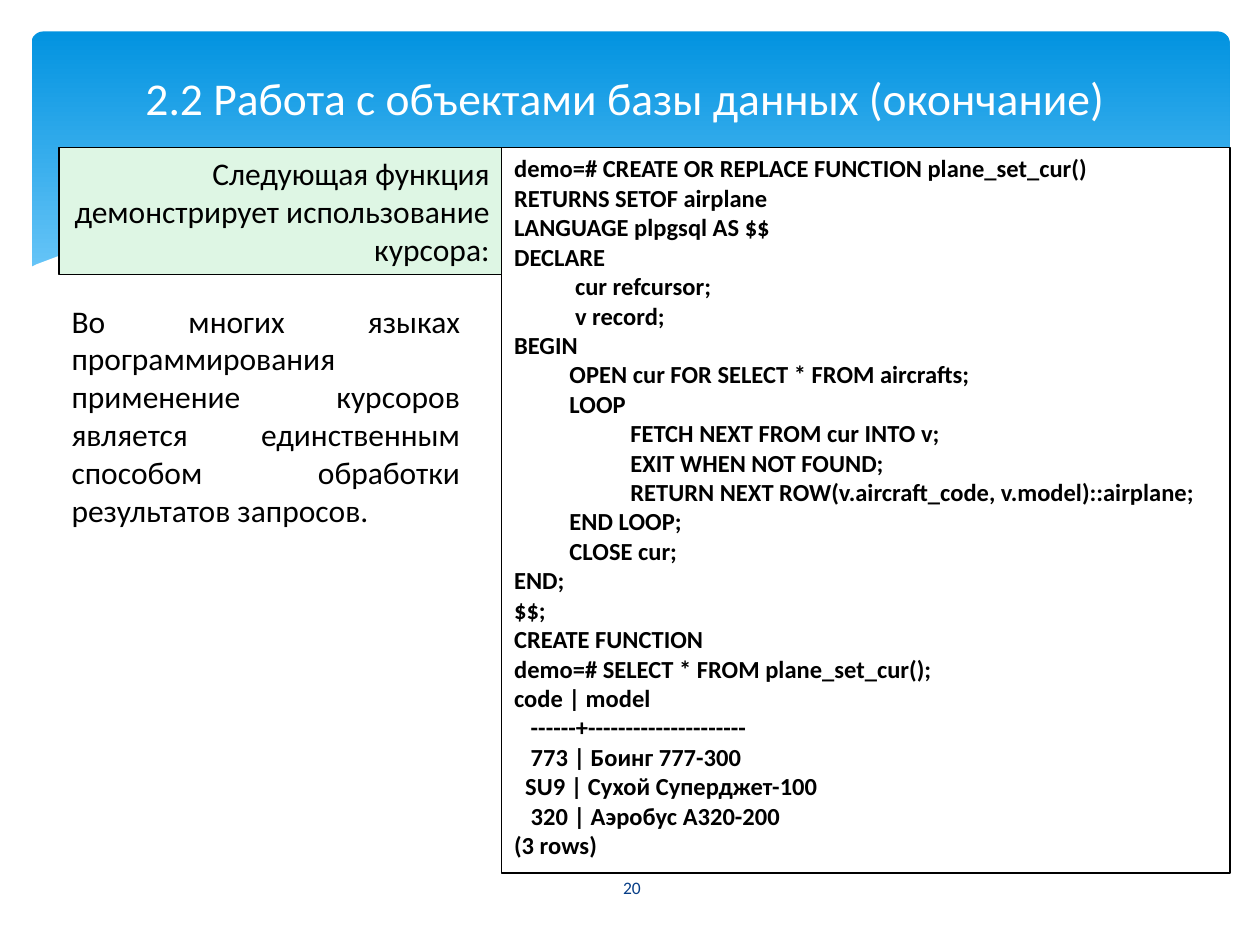
"""Build the slide about a cursor function in a database."""
from pptx import Presentation
from pptx.dml.color import RGBColor as Color
from pptx.enum.shapes import MSO_SHAPE as Preset
from pptx.enum.text import MSO_ANCHOR as Anchor, MSO_AUTO_SIZE as AutoSize, PP_ALIGN as Align
from pptx.util import Pt

BLACK = Color(0x00, 0x00, 0x00)
WHITE = Color(0xFF, 0xFF, 0xFF)
SKY_TOP = Color(0x02, 0x93, 0xE0)
SKY_BOTTOM = Color(0x83, 0xD3, 0xFE)
MINT = Color(0xDE, 0xF6, 0xE4)
NAVY = Color(0x07, 0x3E, 0x87)

CODE = """\
demo=# CREATE OR REPLACE FUNCTION plane_set_cur()
RETURNS SETOF airplane
LANGUAGE plpgsql AS $$
DECLARE
           cur refcursor;
           v record;
BEGIN
          OPEN cur FOR SELECT * FROM aircrafts;
          LOOP
                     FETCH NEXT FROM cur INTO v;
                     EXIT WHEN NOT FOUND;
                     RETURN NEXT ROW(v.aircraft_code, v.model)::airplane;
          END LOOP;
          CLOSE cur;
END;
$$;
CREATE FUNCTION
demo=# SELECT * FROM plane_set_cur();
code | model
   ------+---------------------
   773 | Боинг 777-300
  SU9 | Сухой Суперджет-100
   320 | Аэробус A320-200
(3 rows)"""

WAVE = [
    (16.6, 153.4), (20.9, 151.2), (28.8, 147.6), (37.4, 144.7), (48.2, 141.8),
    (61.2, 138.9), (76.3, 136.1), (95, 133.9), (116, 132.5), (139, 132.5),
    (165.6, 133.2), (195, 135.4), (227.5, 139.7), (262.8, 145.4), (301, 153.4),
    (342, 163.4), (381, 172.1), (417, 180), (451, 185.8), (481, 190.8),
    (510, 194.4), (536, 197.3), (560, 198.7), (582.5, 199.4), (603, 198.7),
    (621.4, 197.3), (638.6, 195.1), (655.2, 192.2), (669.6, 188.6),
    (684, 184.3), (697, 180), (703.4, 177.1), (703.4, 236.9), (16.6, 236.9),
]


def write(shape, text, size, color=BLACK, bold=False, align=Align.LEFT,
          anchor=Anchor.TOP, margins=(7.2, 3.6)):
    frame = shape.text_frame
    frame.auto_size = AutoSize.NONE
    frame.word_wrap = True
    frame.vertical_anchor = anchor
    frame.margin_left = frame.margin_right = Pt(margins[0])
    frame.margin_top = frame.margin_bottom = Pt(margins[1])
    for index, line in enumerate(text.split("\n")):
        para = frame.add_paragraph() if index else frame.paragraphs[0]
        para.alignment = align
        span = para.add_run()
        span.text = line
        span.font.name = "Calibri"
        span.font.size = Pt(size)
        span.font.bold = bold
        span.font.color.rgb = color


deck = Presentation()
deck.slide_width, deck.slide_height = Pt(720), Pt(540)
page = deck.slides.add_slide(deck.slide_layouts[5])
shapes = page.shapes

banner = shapes.add_shape(Preset.ROUNDED_RECTANGLE, Pt(18), Pt(18), Pt(684.7), Pt(194.4))
banner.adjustments[0] = 0.034
banner.shadow.inherit = False
banner.line.fill.background()
banner.fill.gradient()
banner.fill.gradient_angle = 270
for stop, color, position in zip(banner.fill.gradient_stops, (SKY_TOP, SKY_BOTTOM), (0, 0.9)):
    stop.color.rgb = color
    stop.position = position

builder = shapes.build_freeform(*WAVE[0], scale=Pt(1))
builder.add_line_segments(WAVE[1:], close=True)
wave = builder.convert_to_shape()
wave.shadow.inherit = False
wave.fill.solid()
wave.fill.fore_color.rgb = WHITE
wave.line.fill.background()

number = shapes.add_textbox(Pt(313.9), Pt(492.5), Pt(94.4), Pt(28.8))
write(number, "20", 10, color=NAVY, align=Align.CENTER, anchor=Anchor.MIDDLE, margins=(0, 0))

title = shapes.title
title.left, title.top, title.width, title.height = Pt(0), Pt(39.6), Pt(715), Pt(32.4)
banner_position = shapes._spTree.index(wave._element)
shapes._spTree.insert(banner_position, title._element)
write(title, "2.2 Работа с объектами базы данных (окончание)", 26, color=WHITE,
      align=Align.CENTER, anchor=Anchor.MIDDLE, margins=(0, 0))

panels = [
    ((33.8, 84.2, 253.1, 72.7), MINT, "Следующая функция демонстрирует использование курсора:",
     dict(size=18, align=Align.RIGHT, anchor=Anchor.MIDDLE)),
    ((286.7, 84.2, 416.2, 414.7), WHITE, CODE, dict(size=14, bold=True)),
]
for bounds, color, text, style in panels:
    panel = shapes.add_shape(Preset.RECTANGLE, *map(Pt, bounds))
    panel.shadow.inherit = False
    panel.fill.solid()
    panel.fill.fore_color.rgb = color
    panel.line.color.rgb = BLACK
    panel.line.width = Pt(0.75)
    write(panel, text, **style)

remark = shapes.add_textbox(Pt(33.8), Pt(168.8), Pt(236.2), Pt(138.2))
write(remark, "Во многих языках программирования применение курсоров является "
      "единственным способом обработки результатов запросов.", 18, align=Align.JUSTIFY)

deck.save("out.pptx")
